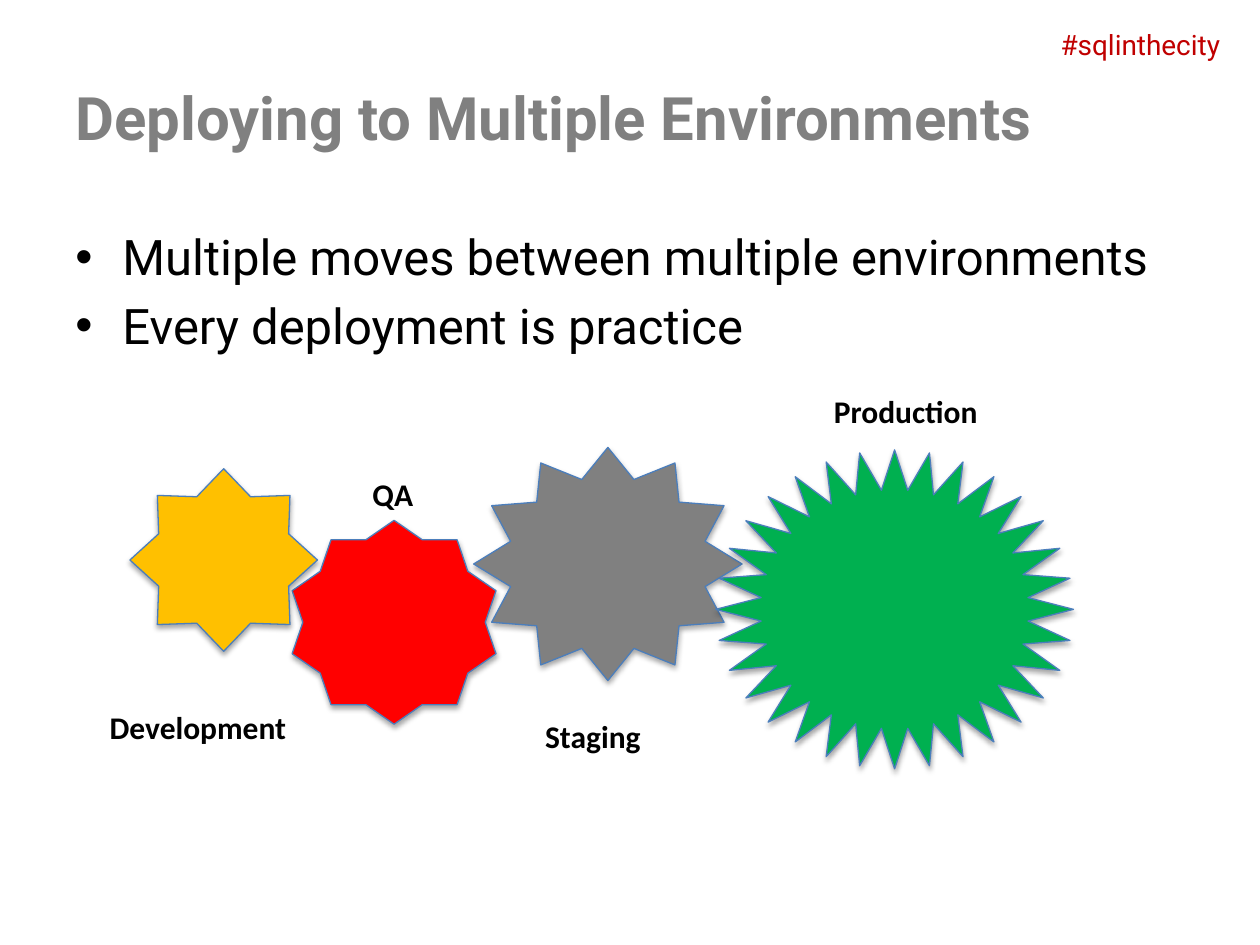
import pptx
import pptx.dml.color
import pptx.enum.shapes
import pptx.enum.text
import pptx.oxml
import pptx.oxml.ns
import pptx.util
from pptx.util import Cm, Pt

COLOURS = {
    "black": "000000", "white": "FFFFFF", "grey": "808080", "crimson": "C00000",
    "red": "FF0000", "amber": "FFC000", "green": "00B050", "outline": "4B7EBC",
}
STAR = pptx.enum.shapes.MSO_SHAPE
ENVIRONMENT_LABELS = [
    ("Development", 0, 6.38, 5.16),
    ("QA", 5.3, 1.68, 1.65),
    ("Staging", 8.78, 6.56, 2.95),
    ("Production", 14.6, 0, 5.87),
]
ENVIRONMENT_STARS = [
    (STAR.STAR_10_POINT, "red", 3.93, 2.72, 4.11, 4.11),
    (STAR.STAR_8_POINT, "amber", 0.66, 1.68, 3.78, 3.68),
    (STAR.STAR_12_POINT, "grey", 7.59, 1.25, 5.41, 4.7),
    (STAR.STAR_32_POINT, "green", 12.47, 1.3, 7.21, 6.43),
]


def colour(name):
    """Return the named colour as an RGB value."""
    return pptx.dml.color.RGBColor.from_string(COLOURS[name])


def set_font(para, size, name, shade, bold=False):
    """Set the font of a whole paragraph."""
    para.font.size = Pt(size)
    para.font.name = name
    para.font.bold = bold
    para.font.color.rgb = colour(shade)


def add_text(page, box, text, size, name, shade, bold=False):
    """Add a one-line text box and return it."""
    shape = page.shapes.add_textbox(*map(Cm, box))
    shape.text_frame.word_wrap = True
    para = shape.text_frame.paragraphs[0]
    para.text = text
    set_font(para, size, name, shade, bold)
    return shape


def add_bullet(para):
    """Give a paragraph a hanging round bullet."""
    properties = para._p.get_or_add_pPr()
    properties.set("marL", str(Cm(0.95)))
    properties.set("indent", str(-Cm(0.95)))
    namespace = pptx.oxml.ns.nsdecls("a")
    for element in ('buFont {} typeface="Arial"', 'buChar {} char="•"'):
        properties.append(pptx.oxml.parse_xml(f"<a:{element.format(namespace)}/>"))


def add_soft_shadow(shape):
    """Give a shape a soft shadow that falls straight down."""
    shape.shadow.inherit = False
    effects = shape._element.spPr.find(pptx.oxml.ns.qn("a:effectLst"))
    effects.append(pptx.oxml.parse_xml(
        f'<a:outerShdw {pptx.oxml.ns.nsdecls("a")} blurRad="{Pt(3.1)}" dist="{Pt(1.8)}" '
        'dir="5400000" rotWithShape="0"><a:srgbClr val="000000">'
        '<a:alpha val="35000"/></a:srgbClr></a:outerShdw>'))


def place_title(page, box):
    """Place the slide title in its box."""
    title = page.shapes.title
    title.left, title.top, title.width, title.height = map(Cm, box)
    frame = title.text_frame
    frame.text = "Deploying to Multiple Environments"
    frame.auto_size = pptx.enum.text.MSO_AUTO_SIZE.NONE
    frame.vertical_anchor = pptx.enum.text.MSO_ANCHOR.MIDDLE
    frame.paragraphs[0].alignment = pptx.enum.text.PP_ALIGN.LEFT
    set_font(frame.paragraphs[0], 34.2, "Roboto", "grey", bold=True)


def place_points(page, box):
    """Place the bulleted points in their box."""
    frame = page.shapes.add_textbox(*map(Cm, box)).text_frame
    frame.word_wrap = True
    frame.text = "Multiple moves between multiple environments\nEvery deployment is practice"
    for para in frame.paragraphs:
        add_bullet(para)
        set_font(para, 28, "Roboto", "black")
    frame.paragraphs[1].space_before = Pt(5.6)


def place_hashtag(page, box):
    """Place the event hashtag in its box."""
    shape = add_text(page, box, "#sqlinthecity", 16, "Roboto", "crimson")
    shape.text_frame.word_wrap = False


def place_environments(page, box):
    """Place the labelled chain of environment stars from the corner of its box."""
    left, top = box[:2]
    for text, x, y, width in ENVIRONMENT_LABELS:
        label = add_text(page, (left + x, top + y, width, 1.02), text, 18, "Calibri", "black", True)
        if text == "QA":
            label.fill.solid()
            label.fill.fore_color.rgb = colour("white")
    for kind, shade, x, y, width, height in ENVIRONMENT_STARS:
        star = page.shapes.add_shape(kind, *map(Cm, (left + x, top + y, width, height)))
        star.fill.solid()
        star.fill.fore_color.rgb = colour(shade)
        star.line.color.rgb = colour("outline")
        star.line.width = Pt(0.75)
        add_soft_shadow(star)


def main():
    """Build the slide and save it."""
    deck = pptx.Presentation()
    deck.slide_width, deck.slide_height = Cm(25.4), Cm(19.05)
    page = deck.slides.add_slide(deck.slide_layouts.get_by_name("Title Only"))
    place_title(page, (1.27, 0.76, 22.86, 3.18))
    place_points(page, (1.27, 4.45, 22.86, 12.57))
    place_hashtag(page, (21.13, 0.43, 3.78, 1.14))
    place_environments(page, (1.96, 7.77, 20.47, 7.73))
    deck.save("out.pptx")


if __name__ == "__main__":
    main()
